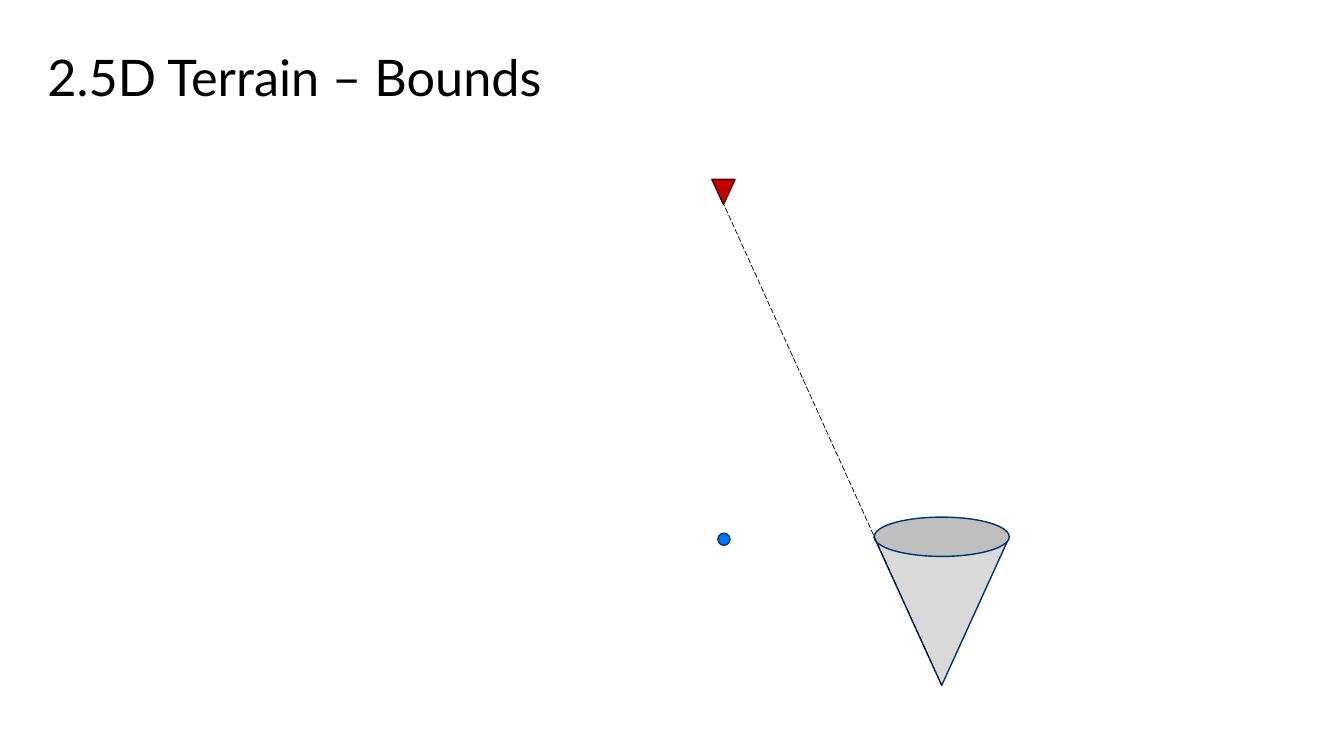
from dataclasses import dataclass

from lxml import etree
from pptx import Presentation
from pptx.dml.color import RGBColor
from pptx.enum import dml, shapes, text
from pptx.oxml import ns
from pptx.util import Inches, Pt

COLOURS = {
    "text": "000000",
    "outline": "00336C",
    "cone_side": "D9D9D9",
    "cone_top": "BFBFBF",
    "viewer": "C00000",
    "viewer_outline": "540000",
    "point": "0075F6",
}
CONE_LEFT, CONE_RIGHT, CONE_RIM = 8.67, 10.01, 5.33
APEX = (9.34, 6.8)


@dataclass
class Mark:
    preset: shapes.MSO_SHAPE
    left: float
    top: float
    width: float
    height: float
    fill: str
    outline: str = "outline"
    rotation: float = 0


CONE_TOP = Mark(shapes.MSO_SHAPE.OVAL, CONE_LEFT, 5.13,
                CONE_RIGHT - CONE_LEFT, 0.39, "cone_top")
VIEWER = Mark(shapes.MSO_SHAPE.ISOSCELES_TRIANGLE, 7.06, 1.78, 0.23, 0.25,
              "viewer", "viewer_outline", 180)
POINT = Mark(shapes.MSO_SHAPE.OVAL, 7.12, 5.29, 0.12, 0.12, "point")


def colour(name: str) -> RGBColor:
    return RGBColor.from_string(COLOURS[name])


def paint(shape, fill: str, outline: str) -> None:
    shape.shadow.inherit = False
    shape.fill.solid()
    shape.fill.fore_color.rgb = colour(fill)
    shape.line.color.rgb = colour(outline)
    shape.line.width = Pt(1)


def draw_mark(slide, mark: Mark) -> None:
    shape = slide.shapes.add_shape(
        mark.preset, Inches(mark.left), Inches(mark.top),
        Inches(mark.width), Inches(mark.height))
    shape.rotation = mark.rotation
    paint(shape, mark.fill, mark.outline)


def draw_title(slide, wording: str) -> None:
    title = slide.shapes.title
    title.left, title.top = Inches(0.37), Inches(0.4)
    title.width, title.height = Inches(12.6), Inches(0.79)
    frame = title.text_frame
    frame.text = wording
    frame.vertical_anchor = text.MSO_ANCHOR.MIDDLE
    paragraph = frame.paragraphs[0]
    paragraph.alignment = text.PP_ALIGN.LEFT
    paragraph.line_spacing = 0.9
    font = paragraph.runs[0].font
    font.name, font.size = "Lato", Pt(36)
    font.color.rgb = colour("text")


def draw_cone_side(slide) -> None:
    outline = slide.shapes.build_freeform(
        Inches(CONE_LEFT), Inches(CONE_RIM))
    corners = [(CONE_RIGHT, CONE_RIM), APEX]
    outline.add_line_segments([(Inches(x), Inches(y)) for x, y in corners])
    paint(outline.convert_to_shape(), "cone_side", "outline")


def draw_sight_line(slide) -> None:
    sight = slide.shapes.add_connector(
        shapes.MSO_CONNECTOR.STRAIGHT, Inches(APEX[0]), Inches(APEX[1]),
        Inches(7.18), Inches(VIEWER.top + VIEWER.height))
    sight.line.color.rgb = colour("text")
    sight.line.width = Pt(0.5)
    sight.line.dash_style = dml.MSO_LINE.LONG_DASH
    etree.SubElement(sight._element.spPr, ns.qn("a:effectLst"))


def main() -> None:
    deck = Presentation()
    deck.slide_width, deck.slide_height = Inches(13.33), Inches(7.5)
    slide = deck.slides.add_slide(deck.slide_layouts[5])

    draw_title(slide, "2.5D Terrain – Bounds")

    # Cone of bounds
    draw_cone_side(slide)
    draw_mark(slide, CONE_TOP)

    # Viewer, its line of sight and the terrain point below it
    draw_mark(slide, VIEWER)
    draw_sight_line(slide)
    draw_mark(slide, POINT)

    deck.save("out.pptx")


if __name__ == "__main__":
    main()
